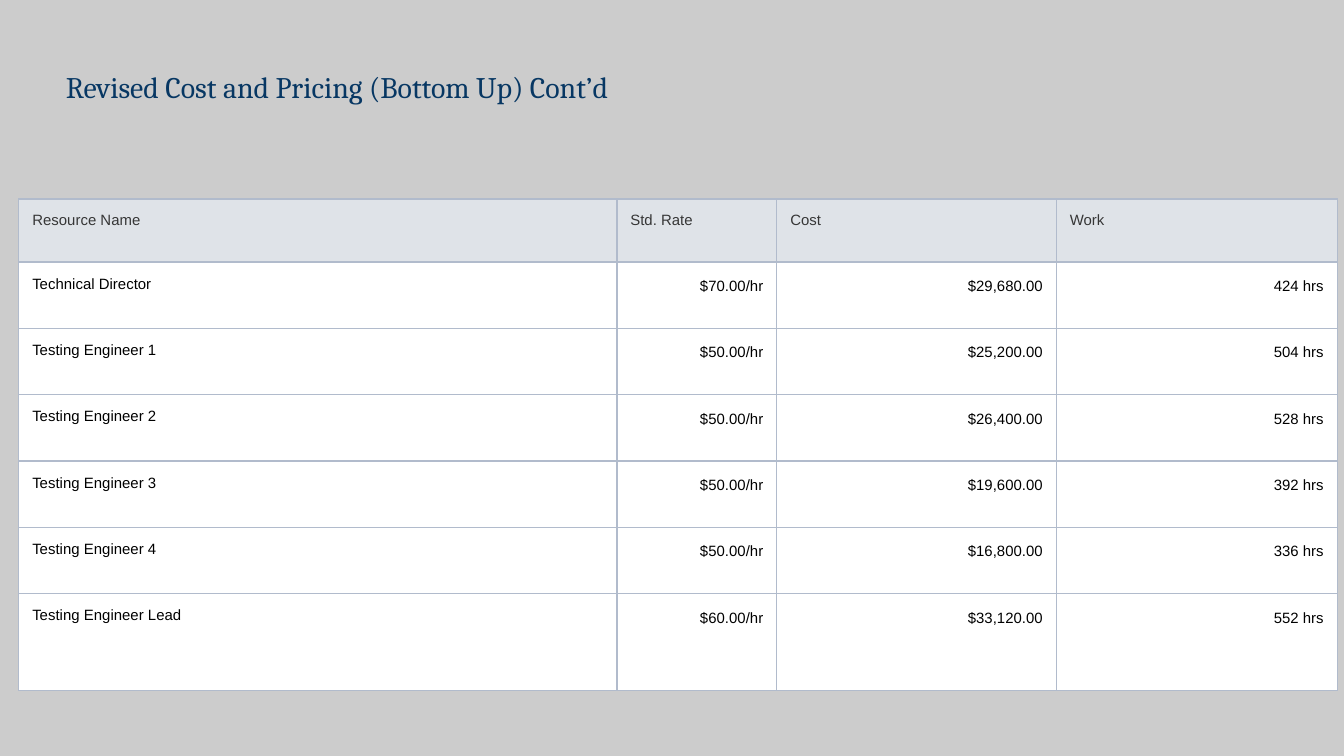
from lxml.etree import SubElement
from pptx import Presentation
from pptx.dml.color import RGBColor as RGB
from pptx.enum.text import MSO_ANCHOR as ANCHOR, PP_ALIGN as ALIGN
from pptx.oxml.ns import qn
from pptx.util import Inches, Pt

# Content
TITLE = "Revised Cost and Pricing (Bottom Up) Cont’d"
HEADER = ("Resource Name", "Std. Rate", "Cost", "Work")
RESOURCES = [
    ("Technical Director", "$70.00/hr", "$29,680.00", "424 hrs"),
    ("Testing Engineer 1", "$50.00/hr", "$25,200.00", "504 hrs"),
    ("Testing Engineer 2", "$50.00/hr", "$26,400.00", "528 hrs"),
    ("Testing Engineer 3", "$50.00/hr", "$19,600.00", "392 hrs"),
    ("Testing Engineer 4", "$50.00/hr", "$16,800.00", "336 hrs"),
    ("Testing Engineer Lead", "$60.00/hr", "$33,120.00", "552 hrs"),
]

# Style
SLIDE_W = 10
SLIDE_H = SLIDE_W * 9 / 16
COLORS = {"background": "CCCCCC", "title": "073763", "header": "DFE3E8",
          "header_text": "363636", "body": "FFFFFF", "body_text": "000000",
          "border": "B1BBCC"}
COL_WIDTHS = (4.45, 1.19, 2.08, 2.09)
HEADER_H, MIDDLE_H, LAST_H = 0.47, 2.47, 0.72
MIDDLE_ROWS = len(RESOURCES) - 1
ROW_HEIGHTS = [HEADER_H] + [MIDDLE_H / MIDDLE_ROWS] * MIDDLE_ROWS + [LAST_H]


def color(name):
    return RGB.from_string(COLORS[name])


def set_attrs(obj, values):
    for name, value in values.items():
        setattr(obj, name, value)


def add_text(tf, text, font, size, text_color):
    p = tf.paragraphs[0]
    r = p.add_run()
    r.text = text
    set_attrs(r.font, {"name": font, "size": Pt(size), "bold": False})
    r.font.color.rgb = color(text_color)
    return p


def add_borders(cell):
    tc_pr = cell._tc.get_or_add_tcPr()
    for side in ("lnL", "lnR", "lnT", "lnB"):
        ln = SubElement(tc_pr, qn(f"a:{side}"), w=str(Pt(0.75)))
        fill = SubElement(ln, qn("a:solidFill"))
        SubElement(fill, qn("a:srgbClr"), val=COLORS["border"])


prs = Presentation()
set_attrs(prs, {"slide_width": Inches(SLIDE_W),
                "slide_height": Inches(SLIDE_H)})
s = prs.slides.add_slide(prs.slide_layouts[5])
s.background.fill.solid()
s.background.fill.fore_color.rgb = color("background")

# Title
title = s.shapes.title
set_attrs(title, {"left": Inches(0.43), "top": Inches(0.2),
                  "width": Inches(8.2), "height": Inches(0.89)})
tf = title.text_frame
set_attrs(tf, {"margin_left": Inches(0.06), "margin_right": Inches(0.06),
               "margin_top": 0, "margin_bottom": 0,
               "vertical_anchor": ANCHOR.MIDDLE, "word_wrap": True})
add_text(tf, TITLE, "Cambria", 16, "title").alignment = ALIGN.LEFT

# Resource table
rows = [HEADER] + RESOURCES
table = s.shapes.add_table(
    len(rows), len(HEADER), Inches(0.14), Inches(1.48),
    Inches(sum(COL_WIDTHS)), Inches(sum(ROW_HEIGHTS))).table
table.horz_banding = False
for column, width in zip(table.columns, COL_WIDTHS):
    column.width = Inches(width)
for row, height in zip(table.rows, ROW_HEIGHTS):
    row.height = Inches(height)

for i, values in enumerate(rows):
    part = "body" if i else "header"
    for j, text in enumerate(values):
        cell = table.cell(i, j)
        set_attrs(cell, {f"margin_{side}": Inches(0.1)
                         for side in ("left", "right", "top", "bottom")})
        add_borders(cell)
        cell.fill.solid()
        cell.fill.fore_color.rgb = color(part)
        p = add_text(cell.text_frame, text, "Arial", 8, f"{part}_text")
        if i and j:
            set_attrs(p, {"alignment": ALIGN.RIGHT, "line_spacing": 1.15})

prs.save("out.pptx")
